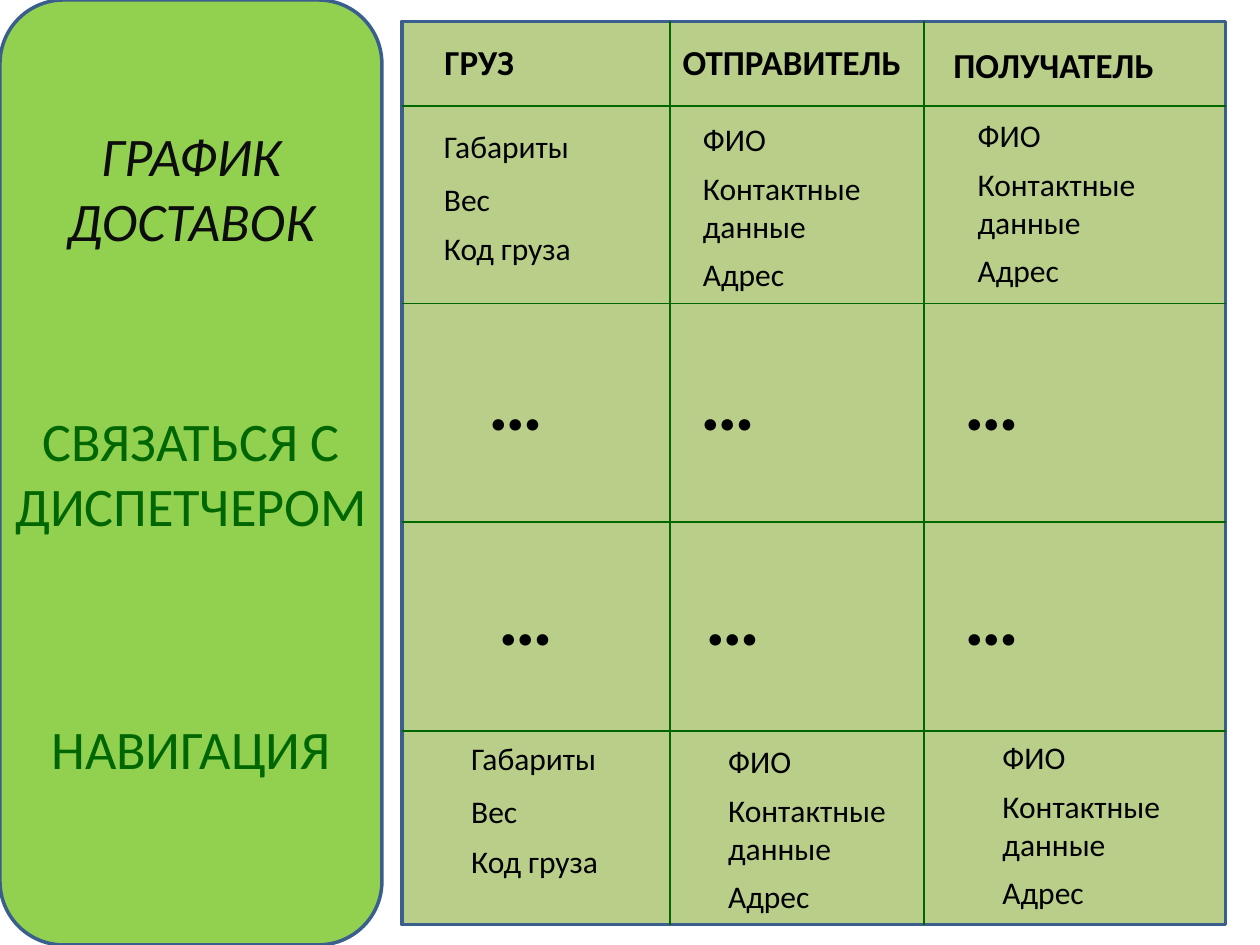
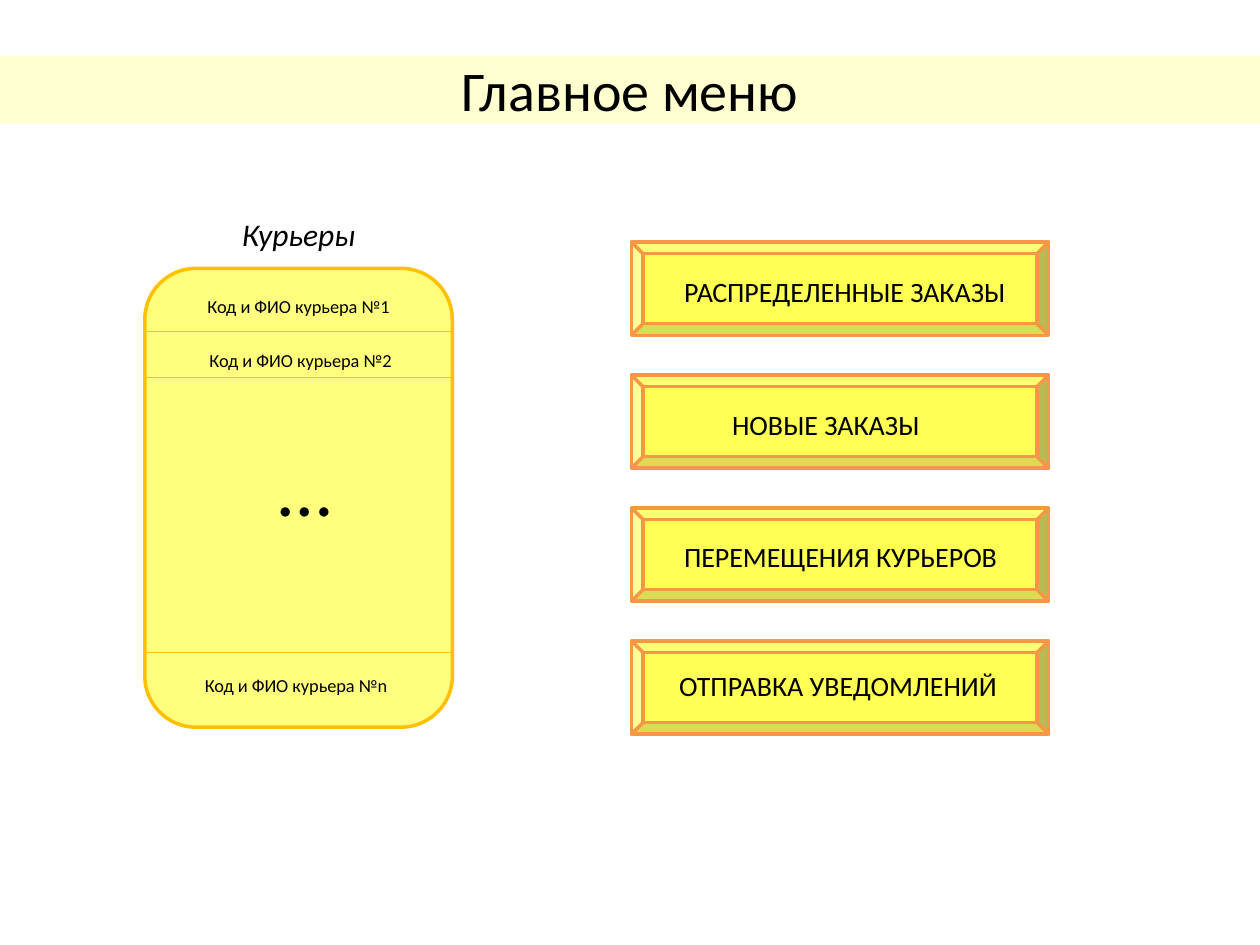
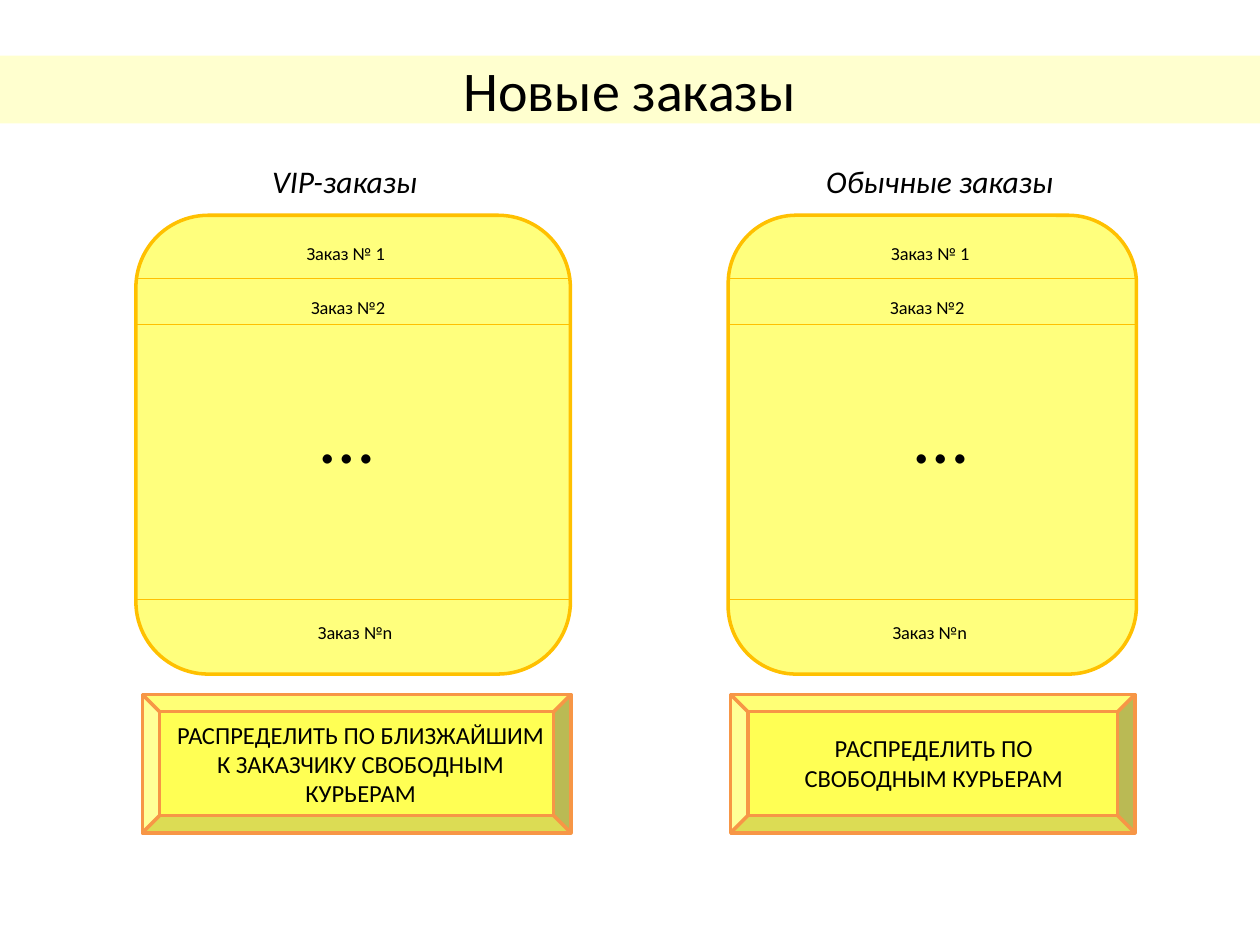
"""Builds three slides of a courier service interface: deliveries, main menu and new orders."""
from dataclasses import dataclass

from lxml.etree import SubElement
from pptx import Presentation
from pptx.dml.color import RGBColor as Rgb
from pptx.enum.shapes import MSO_CONNECTOR as Link, MSO_SHAPE as Form
from pptx.enum.text import PP_ALIGN as Align
from pptx.oxml.ns import qn
from pptx.util import Cm, Pt


@dataclass(frozen=True)
class Theme:
    font: str = "Calibri"
    black: str = "000000"
    ink: str = "0D0D0D"
    green: str = "006600"
    lime: str = "92D050"
    olive: str = "9BBB59"
    blue: str = "3A5F8C"
    yellow: str = "FFFF00"
    gold: str = "FFC000"
    orange: str = "F79646"
    title: float = 32
    menu: float = 31
    dots: float = 44
    head: float = 20
    body: float = 18
    button: float = 16
    action: float = 14
    row: float = 10.5
    edge: float = 2
    grid: float = 1
    rule: float = 0.75


T = Theme()
WIDE, HIGH = 25.4, 19.05


def draw(page, kind, at, rim=None, thick=T.edge, fill=None, alpha=100):
    x, y, w, h = map(Cm, at)
    if kind is Link.STRAIGHT:
        item = page.shapes.add_connector(kind, x, y, x + w, y + h)
        SubElement(item._element.spPr, qn("a:effectLst"))
    else:
        item = page.shapes.add_shape(kind, x, y, w, h)
        item.shadow.inherit = False
        item.fill.solid()
        item.fill.fore_color.rgb = Rgb.from_string(fill)
        tint = item.fill._xPr.find(".//" + qn("a:srgbClr"))
        SubElement(tint, qn("a:alpha"), val=str(alpha * 1000))
    if rim:
        item.line.color.rgb = Rgb.from_string(rim)
        item.line.width = Pt(thick)
    else:
        item.line.fill.background()
    return item


def write(page, at, text, size, align=Align.LEFT, color=T.black, bold=False, italic=False, item=None):
    item = item or page.shapes.add_textbox(*map(Cm, at))
    frame = item.text_frame
    frame.word_wrap = True
    para = frame.paragraphs[0]
    para.text = text
    para.alignment = align
    font = para.font
    font.name, font.size, font.bold, font.italic = T.font, Pt(size), bold, italic
    font.color.rgb = Rgb.from_string(color)


deck = Presentation()
deck.slide_width, deck.slide_height = Cm(WIDE), Cm(HIGH)
plan, menu, orders = [deck.slides.add_slide(deck.slide_layouts[6]) for _ in range(3)]

side = 7.7
draw(plan, Form.ROUNDED_RECTANGLE, (0, 0, side, HIGH), T.blue, fill=T.lime)
for label, y, h, color, italic in (
    ("ГРАФИК ДОСТАВОК", 2.34, 3, T.ink, True),
    ("СВЯЗАТЬСЯ С ДИСПЕТЧЕРОМ", 8.08, 2.9, T.green, False),
    ("НАВИГАЦИЯ", 14.3, 1.57, T.green, False),
):
    write(plan, (0, y, side, h), label, T.menu, Align.CENTER, color, italic=italic)

left, top, width, height = 8.1, 0.43, 16.61, 18.21
draw(plan, Form.RECTANGLE, (left, top, width, height), T.blue, fill=T.olive, alpha=71)
for x in (13.51, 18.62):
    draw(plan, Link.STRAIGHT, (x, top, 0, height), T.green, T.grid)
for y in (2.13, 6.12, 10.52, 14.73):
    draw(plan, Link.STRAIGHT, (left, y, width, 0), T.green, T.grid)

for label, x, y, w in (
    ("ГРУЗ", 8.71, 0.69, 3),
    ("ОТПРАВИТЕЛЬ", 13.51, 0.69, 5.03),
    ("ПОЛУЧАТЕЛЬ", 18.97, 0.76, 5.59),
):
    write(plan, (x, y, w, 1.12), label, T.head, bold=True)

cargo = ("Габариты", 0, 1.02), ("Вес", 1.07, 1.02), ("Код груза", 2.06, 1.02)
person = ("ФИО", 0, 1.02), ("Контактные данные", 0.99, 1.8), ("Адрес", 2.72, 1.02)
for fields, x, y in (
    (cargo, 8.7, 2.44), (person, 13.92, 2.29), (person, 19.46, 2.21),
    (cargo, 9.25, 14.78), (person, 14.43, 14.83), (person, 19.96, 14.76),
):
    for label, drop, h in fields:
        write(plan, (x, y + drop, 4.09, h), label, T.body)

for y, spots in ((7.01, (9.6, 13.87, 19.2)), (11.33, (9.8, 13.97, 19.2))):
    for x in spots:
        write(plan, (x, y, 3.02, 2.13), "…", T.dots, bold=True)

for page, label in ((menu, "Главное меню"), (orders, "Новые заказы")):
    band = (0, 1.12, WIDE, 1.37)
    item = draw(page, Form.RECTANGLE, band, fill=T.yellow, alpha=19)
    write(page, band, label, T.title, Align.CENTER, item=item)

riders = [f"Код и ФИО курьера №{n}" for n in (1, 2, "n")]
queue = ["Заказ № 1", "Заказ №2", "Заказ №n"]
for page, label, rows, x, y, w, shifts in (
    (menu, "Курьеры", riders, 2.92, 5.41, 6.2, (0, 0, 0.04, -0.05, 0.44)),
    (orders, "VIP-заказы", queue, 2.74, 4.34, 8.76, (-0.17, -0.15, -0.1, 0.04, 0.2)),
    (orders, "Обычные заказы", queue, 14.68, 4.34, 8.23, (0.15, -0.04, -0.1, -0.05, 0.5)),
):
    draw(page, Form.ROUNDED_RECTANGLE, (x, y, w, 9.25), T.gold, fill=T.yellow, alpha=51)
    for drop in (1.27, 2.2, 7.75):
        draw(page, Link.STRAIGHT, (x, y + drop, w, 0), T.gold, T.rule)
    write(page, (x + shifts[0], y - 1.19, w, 1.02), label, T.body, Align.CENTER, italic=True)
    for row, drop, shift in zip(rows, (0.41, 1.5, 8.05), shifts[1:4]):
        write(page, (x + shift, y + drop, w, 0.71), row, T.row, Align.CENTER)
    write(page, (x + w / 2 - 1.1 + shifts[4], y + 3.33, 2.2, 2.13), "…", T.dots)

keys = [
    (menu, (12.73, 4.88 + 2.68 * n, 8.41, 1.88), label, T.button, Align.LEFT, inset, drop, 8 - inset)
    for n, (label, inset, drop) in enumerate((
        ("РАСПРЕДЕЛЕННЫЕ ЗАКАЗЫ", 0.81, 0.53),
        ("НОВЫЕ ЗАКАЗЫ", 1.78, 0.53),
        ("ПЕРЕМЕЩЕНИЯ КУРЬЕРОВ", 0.81, 0.51),
        ("ОТПРАВКА УВЕДОМЛЕНИЙ", 0.71, 0.43),
    ))
] + [
    (orders, (2.87, 14, 8.64, 2.79), "РАСПРЕДЕЛИТЬ ПО БЛИЗЖАЙШИМ К ЗАКАЗЧИКУ СВОБОДНЫМ КУРЬЕРАМ",
     T.action, Align.CENTER, 0.36, 0.38, 8.08),
    (orders, (14.73, 14, 8.15, 2.79), "РАСПРЕДЕЛИТЬ ПО СВОБОДНЫМ КУРЬЕРАМ",
     T.action, Align.CENTER, 0.41, 0.66, 7.37),
]
for page, at, label, size, align, inset, drop, w in keys:
    draw(page, Form.BEVEL, at, T.orange, fill=T.yellow, alpha=67)
    write(page, (at[0] + inset, at[1] + drop, w, at[3] - 2 * drop), label, size, align)

deck.save("out.pptx")
